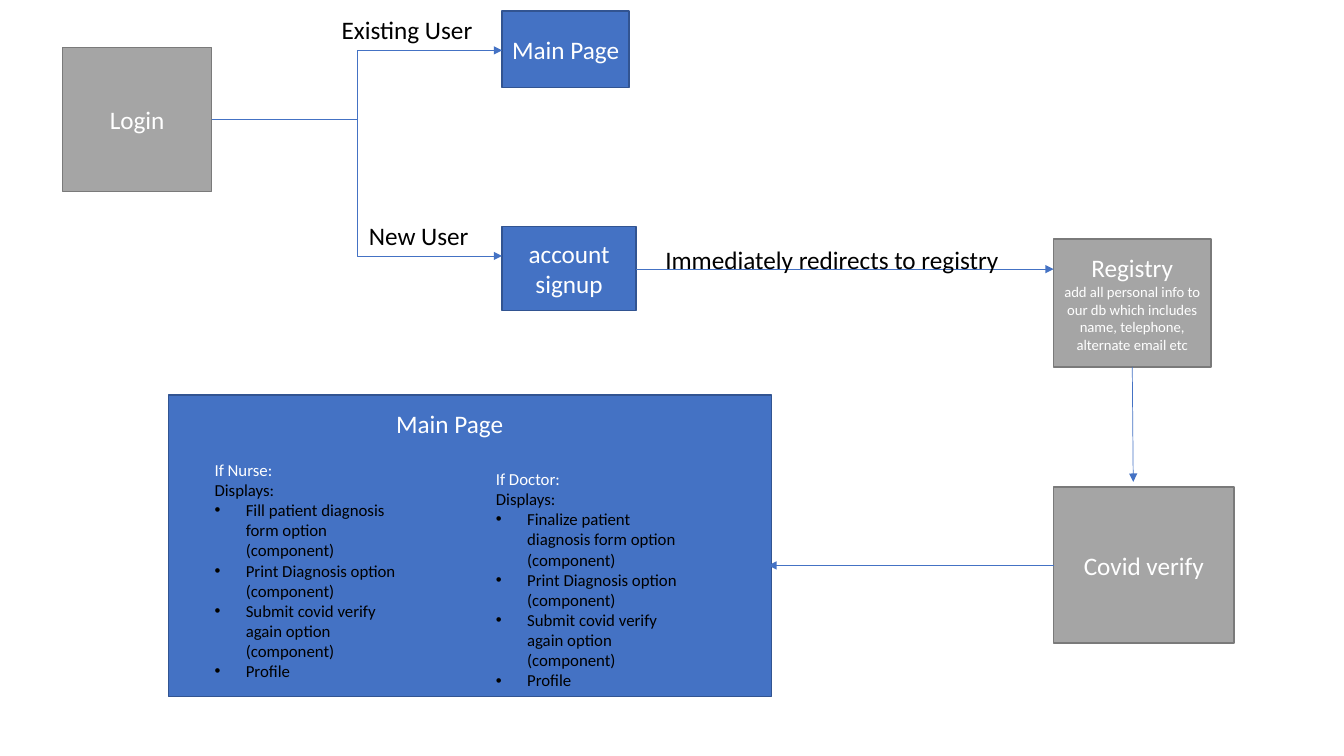
from dataclasses import dataclass

from lxml.etree import SubElement
from pptx import Presentation
from pptx.dml.color import RGBColor
from pptx.enum.shapes import MSO_CONNECTOR as Route, MSO_SHAPE as Preset
from pptx.enum.text import MSO_ANCHOR as Anchor, PP_ALIGN as Align
from pptx.oxml.ns import qn
from pptx.util import Inches, Pt

FONT = "Calibri"
COLORS = {
    "blue": "4472C4", "blue_edge": "325491",
    "gray": "A5A5A5", "gray_edge": "7A7A7A",
    "white": "FFFFFF", "black": "000000",
}


@dataclass
class Step:
    """A filled box of the flow; detail is a smaller second line."""
    text: str
    left: float
    top: float
    width: float
    height: float
    color: str
    detail: str = ""


@dataclass
class Arrow:
    """An arrow between two points."""
    start: tuple[float, float]
    end: tuple[float, float]
    route: Route = Route.STRAIGHT


@dataclass
class Label:
    """A free line of text."""
    text: str
    left: float
    top: float
    width: float
    color: str = "black"


@dataclass
class RoleList:
    """What the main page displays for one role."""
    role: str
    left: float
    top: float
    first_option: str


STEPS = [
    Step("Login", 0.62, 0.47, 1.48, 1.43, "gray"),
    Step("Main Page", 4.98, 0.11, 1.26, 0.76, "blue"),
    Step("account signup", 4.98, 2.25, 1.33, 0.83, "blue"),
    Step("Registry", 10.45, 2.37, 1.56, 1.27, "gray",
         "add all personal info to our db which includes name, "
         "telephone, alternate email etc"),
    Step("Covid verify", 10.45, 4.83, 1.79, 1.55, "gray"),
    Step("", 1.67, 3.92, 5.98, 2.99, "blue"),
]
ARROWS = [
    Arrow((2.1, 1.18), (4.98, 0.5), Route.ELBOW),
    Arrow((2.1, 1.18), (4.98, 2.54), Route.ELBOW),
    Arrow((6.31, 2.67), (10.45, 2.67)),
    Arrow((11.23, 3.64), (11.24, 4.78)),
    Arrow((10.45, 5.61), (7.62, 5.61)),
]
LABELS = [
    Label("Existing User", 3.29, 0.09, 2.03),
    Label("New User", 3.56, 2.14, 1.28),
    Label("Immediately redirects to registry", 6.5, 2.37, 3.75),
    Label("Main Page", 3.83, 4.0, 2.41, "white"),
]
ROLES = [
    RoleList("Nurse", 2.03, 4.51, "Fill patient diagnosis form option (component)"),
    RoleList("Doctor", 4.82, 4.6, "Finalize patient diagnosis form option (component)"),
]
SHARED_OPTIONS = [
    "Print Diagnosis option (component)",
    "Submit covid verify again option (component)",
    "Profile",
]


def rgb(name: str) -> RGBColor:
    """Look up a colour by name."""
    return RGBColor.from_string(COLORS[name])


def format_runs(para, size: float, color: str) -> None:
    """Set font, size and colour of every run in a paragraph."""
    for span in para.runs:
        span.font.name = FONT
        span.font.size = Pt(size)
        span.font.color.rgb = rgb(color)


def draw_step(page, step: Step) -> None:
    """Draw a box with its centred text."""
    box = page.shapes.add_shape(
        Preset.RECTANGLE, Inches(step.left), Inches(step.top),
        Inches(step.width), Inches(step.height))
    box.shadow.inherit = False
    box.fill.solid()
    box.fill.fore_color.rgb = rgb(step.color)
    box.line.color.rgb = rgb(step.color + "_edge")
    box.line.width = Pt(1)
    if not step.text:
        return
    frame = box.text_frame
    frame.word_wrap = True
    frame.vertical_anchor = Anchor.MIDDLE
    para = frame.paragraphs[0]
    para.text = f"{step.text}\v{step.detail}" if step.detail else step.text
    para.alignment = Align.CENTER
    format_runs(para, 18, "white")
    if step.detail:
        para.runs[-1].font.size = Pt(10.5)


def draw_arrow(page, arrow: Arrow) -> None:
    """Draw a thin blue line ending in a triangle."""
    points = [Inches(value) for value in (*arrow.start, *arrow.end)]
    connector = page.shapes.add_connector(arrow.route, *points)
    connector.line.color.rgb = rgb("blue")
    connector.line.width = Pt(0.5)
    SubElement(connector.line._get_or_add_ln(), qn("a:tailEnd"), type="triangle")
    SubElement(connector._element.spPr, qn("a:effectLst"))


def add_text_frame(page, left: float, top: float, width: float, height: float):
    """Add a wrapping text box and return its text frame."""
    box = page.shapes.add_textbox(
        Inches(left), Inches(top), Inches(width), Inches(height))
    box.text_frame.word_wrap = True
    return box.text_frame


def draw_label(page, label: Label) -> None:
    """Draw a label."""
    frame = add_text_frame(page, label.left, label.top, label.width, 0.4)
    frame.text = label.text
    format_runs(frame.paragraphs[0], 18, label.color)


def add_bullet(para) -> None:
    """Give a paragraph a hanging round bullet."""
    props = para._p.get_or_add_pPr()
    props.set("marL", str(Inches(0.31)))
    props.set("indent", str(-Inches(0.31)))
    SubElement(props, qn("a:buFont"), typeface="Arial")
    SubElement(props, qn("a:buChar"), char="•")


def draw_role(page, role: RoleList) -> None:
    """Draw a role's heading and its bulleted options."""
    frame = add_text_frame(page, role.left, role.top, 2.13, 2.63)
    lines = [f"If {role.role}:", "Displays:", role.first_option, *SHARED_OPTIONS]
    frame.text = "\n".join(lines)
    for index, para in enumerate(frame.paragraphs):
        format_runs(para, 12, "black" if index else "white")
        if index >= 2:
            add_bullet(para)


def main() -> None:
    """Build the login flow slide."""
    deck = Presentation()
    deck.slide_width, deck.slide_height = Inches(13.33), Inches(7.5)
    page = deck.slides.add_slide(deck.slide_layouts[6])
    for draw, items in ((draw_step, STEPS), (draw_arrow, ARROWS),
                        (draw_label, LABELS), (draw_role, ROLES)):
        for item in items:
            draw(page, item)
    deck.save("out.pptx")


main()
